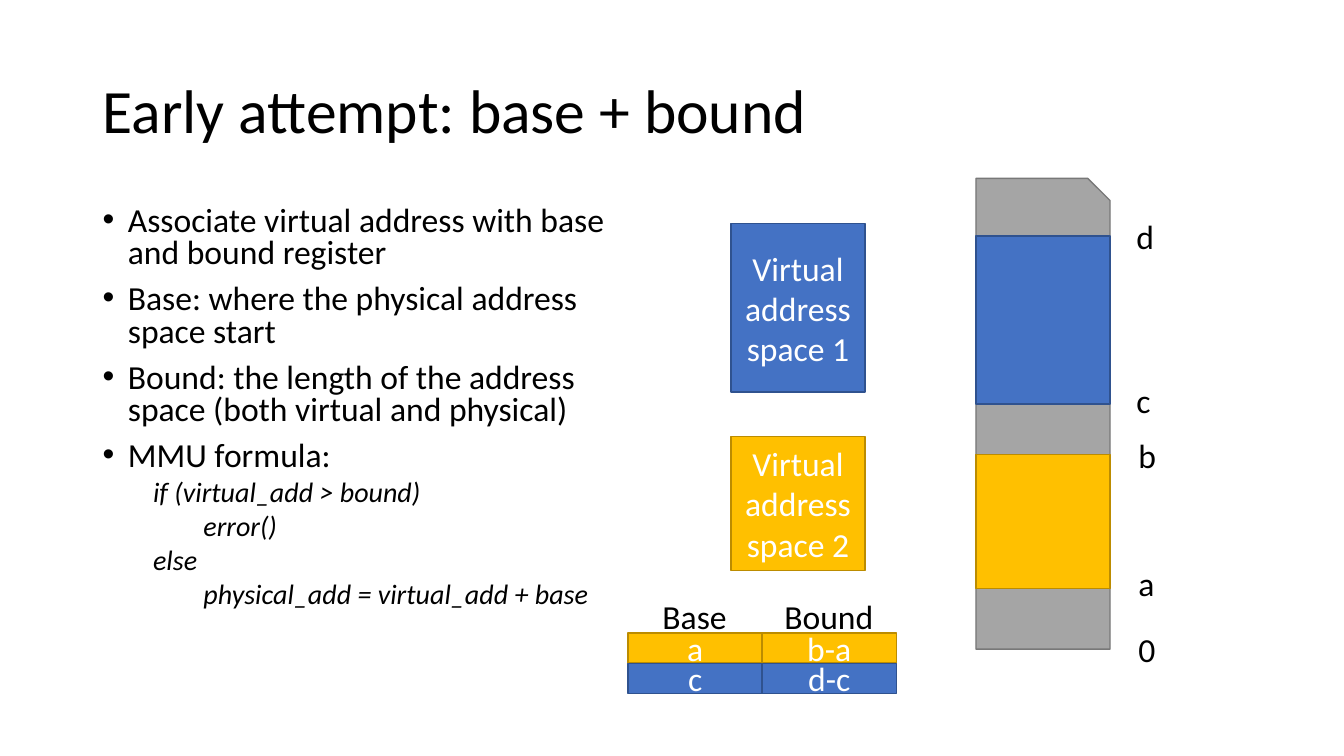
from dataclasses import dataclass

from lxml.etree import SubElement
from pptx import Presentation
from pptx.dml.color import RGBColor
from pptx.enum.shapes import MSO_SHAPE
from pptx.enum.text import MSO_ANCHOR, MSO_AUTO_SIZE, PP_ALIGN
from pptx.oxml.ns import qn
from pptx.util import Emu, Pt

SCALE = 9144
BLOCK_WIDTH = 133


@dataclass(frozen=True)
class Theme:
    """Colours as (fill, line) pairs, and type sizes in points."""
    font: str = "Calibri"
    ink: str = "000000"
    light: str = "FFFFFF"
    blue: tuple = ("4472C4", "2F528F")
    gold: tuple = ("FFC000", "BC8C00")
    grey: tuple = ("A5A5A5", "787878")
    title: int = 44
    text: int = 24
    code: int = 20


THEME = Theme()
BULLETS = (
    "Associate virtual address with base and bound register",
    "Base: where the physical address space start",
    "Bound: the length of the address space (both virtual and physical)",
    "MMU formula:",
)
FORMULA = (
    "if (virtual_add > bound)",
    "\terror()",
    "else",
    "\tphysical_add = virtual_add + base",
)
ADDRESS_LABELS = (
    ("d", 1114, 207, 45), ("c", 1114, 370, 41), ("b", 1116, 424, 45),
    ("a", 1116, 551, 43), ("0", 1116, 617, 44),
)
REGISTER_HEADS = (("Base", 644, 584, 91), ("Bound", 765, 584, 116))
REGISTER_ROWS = ((THEME.gold, ("a", "b-a")), (THEME.blue, ("c", "d-c")))


def px(length):
    """Turn whole pixels into EMU."""
    return Emu(length * SCALE)


def add_span(para, text, size, color=THEME.ink, italic=None):
    """Add one formatted run to a paragraph."""
    span = para.add_run()
    span.text = text
    span.font.name = THEME.font
    span.font.size = Pt(size)
    span.font.italic = italic
    span.font.color.rgb = RGBColor.from_string(color)


def set_insets(frame):
    """Give a text frame the wide diagram margins."""
    frame.margin_left = frame.margin_right = px(13)
    frame.margin_top = frame.margin_bottom = px(7)


def paint(shape, colors):
    """Set a flat fill and a thin outline."""
    fill, line = colors
    shape.shadow.inherit = False
    shape.fill.solid()
    shape.fill.fore_color.rgb = RGBColor.from_string(fill)
    shape.line.color.rgb = RGBColor.from_string(line)
    shape.line.width = Pt(1)


def add_title(page, text):
    """Place and format the title placeholder."""
    title = page.shapes.title
    title.left, title.top, title.width, title.height = map(px, (92, 40, 1150, 145))
    title.text_frame.vertical_anchor = MSO_ANCHOR.MIDDLE
    para = title.text_frame.paragraphs[0]
    para.alignment = PP_ALIGN.LEFT
    para.line_spacing = 0.9
    add_span(para, text, THEME.title)


def format_para(para, space, margin, indent, bullet=None):
    """Set spacing, indents and an optional bullet."""
    para.line_spacing = 0.8
    para.space_before = Pt(space)
    props = para._p.get_or_add_pPr()
    props.set("marL", str(px(margin)))
    props.set("indent", str(px(indent)))
    if bullet:
        SubElement(props, qn("a:buFont")).set("typeface", "Arial")
        SubElement(props, qn("a:buChar")).set("char", bullet)
    else:
        SubElement(props, qn("a:buNone"))


def add_explanation(page):
    """Add the bulleted points and the formula below them."""
    frame = page.shapes.add_textbox(*map(px, (92, 200, 567, 476))).text_frame
    frame.word_wrap = True
    for number, text in enumerate(BULLETS):
        para = frame.add_paragraph() if number else frame.paragraphs[0]
        format_para(para, 10, 25, -25, "•")
        add_span(para, text, THEME.text)
    for text in FORMULA:
        para = frame.add_paragraph()
        para.level = 1
        format_para(para, 5, 50, 0)
        add_span(para, text, THEME.code, italic=True)


def add_block(page, left, top, height, colors, text=None):
    """Add a coloured block with optional centred text."""
    box = page.shapes.add_shape(
        MSO_SHAPE.RECTANGLE, *map(px, (left, top, BLOCK_WIDTH, height)))
    paint(box, colors)
    if text:
        frame = box.text_frame
        frame.word_wrap = True
        frame.vertical_anchor = MSO_ANCHOR.MIDDLE
        set_insets(frame)
        para = frame.paragraphs[0]
        para.alignment = PP_ALIGN.CENTER
        add_span(para, text, THEME.text, THEME.light)


def add_label(page, text, left, top, width):
    """Add a one-line label."""
    frame = page.shapes.add_textbox(*map(px, (left, top, width, 54))).text_frame
    frame.word_wrap = False
    frame.auto_size = MSO_AUTO_SIZE.SHAPE_TO_FIT_TEXT
    set_insets(frame)
    add_span(frame.paragraphs[0], text, THEME.text)


def add_memory(page, left, top, height, snip):
    """Draw physical memory with its top right corner cut."""
    right, bottom = left + BLOCK_WIDTH, top + height
    outline = page.shapes.build_freeform(left, top, scale=SCALE)
    outline.add_line_segments(
        [(right - snip, top), (right, top + snip), (right, bottom), (left, bottom)])
    paint(outline.convert_to_shape(), THEME.grey)


def add_registers(page, left, top, row_height):
    """Stack the base and bound values in two columns."""
    for row, (colors, values) in enumerate(REGISTER_ROWS):
        for column, value in enumerate(values):
            add_block(page, left + column * BLOCK_WIDTH, top + row * row_height,
                      row_height, colors, value)


def main():
    """Build and save the slide."""
    deck = Presentation()
    deck.slide_width, deck.slide_height = px(1333), px(750)
    page = deck.slides.add_slide(deck.slide_layouts[5])
    add_title(page, "Early attempt: base + bound")
    add_explanation(page)
    add_block(page, 725, 222, 167, THEME.blue, "Virtual address space 1")
    add_block(page, 725, 433, 133, THEME.gold, "Virtual address space 2")
    add_memory(page, 968, 177, 467, 22)
    add_block(page, 968, 451, 133, THEME.gold)
    add_block(page, 968, 234, 167, THEME.blue)
    for label in ADDRESS_LABELS + REGISTER_HEADS:
        add_label(page, *label)
    add_registers(page, 623, 628, 30)
    deck.save("out.pptx")


if __name__ == "__main__":
    main()
